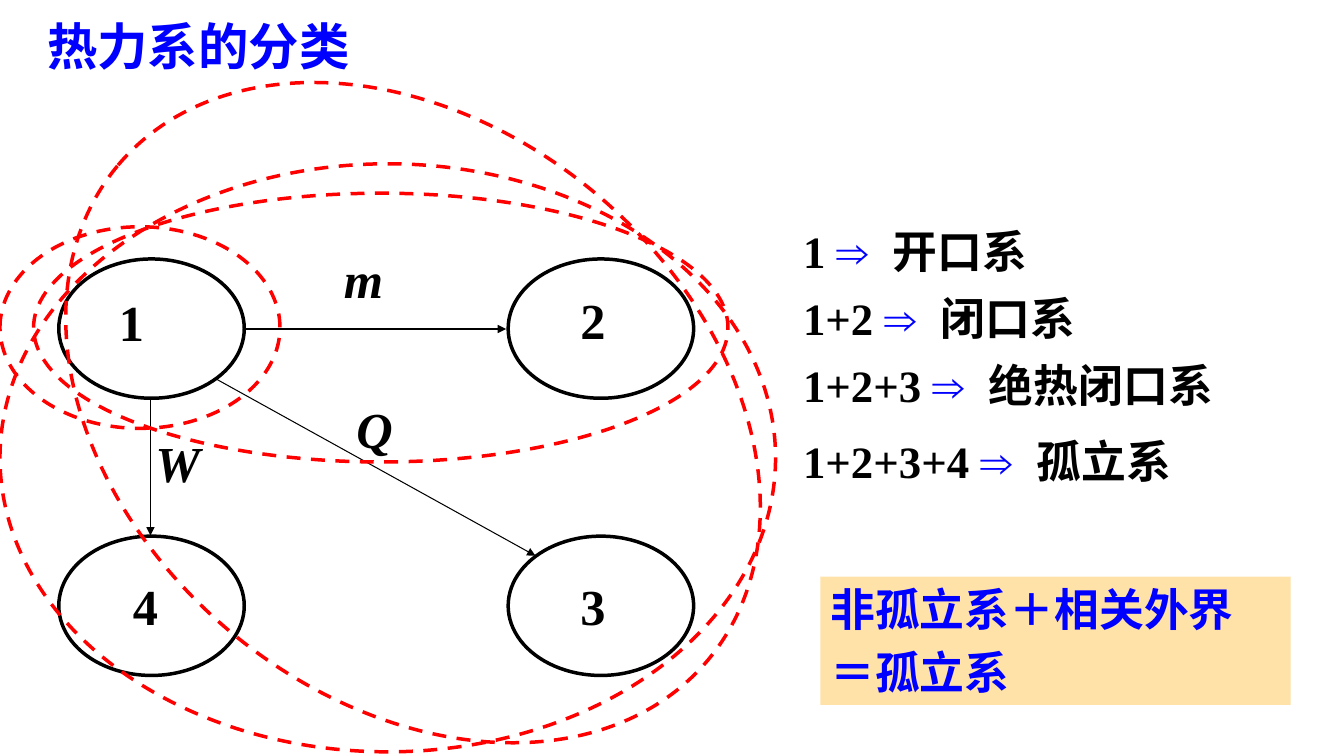
from lxml import etree
from pptx import Presentation
from pptx.dml.color import RGBColor
from pptx.enum.dml import MSO_LINE_DASH_STYLE as Dash
from pptx.enum.shapes import MSO_CONNECTOR as Conn, MSO_SHAPE as Kind
from pptx.enum.text import MSO_ANCHOR as Anchor, PP_ALIGN as Align
from pptx.oxml.ns import qn
from pptx.util import Pt

BLACK, WHITE, BLUE, RED, SAND = "000000", "FFFFFF", "0000FF", "FF0000", "FFCC66"
SERIF = "Times New Roman"

TITLE = "热力系的分类"
NOTE = ["非孤立系＋相关外界", "＝孤立系"]
COLS, ROWS = (42, 363), (185, 383)
NODE_W, NODE_H = 132.5, 99.5
# digit: column, row, left and top of its label
NODES = {
    "1": (0, 0, 77.8, 204.5),
    "2": (1, 0, 407.5, 203),
    "3": (1, 1, 407.5, 407),
    "4": (0, 1, 87.8, 407),
}
# from x, y, to x, y
ARROWS = [
    (175, 235, 361.5, 235),
    (107.5, 285, 107.5, 382.5),
    (154, 270.5, 382.5, 397),
]
# letter, left, top, width
FLOWS = [("m", 238.5, 173.5, 42.5), ("Q", 247.5, 281, 40.5), ("W", 104, 305, 47)]
# left, top, width, height, turn
BOUNDS = [
    (0, 162, 200, 144, 0),
    (24, 138, 496, 192, 0),
    (20, 91, 550, 407.5, 40),
    (0, 117, 554, 420, 0),
]
# system, its class, top
KINDS = [
    ("1", "开口系", 156),
    ("1+2", "闭口系", 204),
    ("1+2+3", "绝热闭口系", 252),
    ("1+2+3+4", "孤立系", 306),
]


def rgb(code):
    return RGBColor.from_string(code)


def add_shape(kind, box, fill=None, line=None):
    shape = slide.shapes.add_shape(kind, *map(Pt, box))
    shape.shadow.inherit = False
    if fill:
        shape.fill.solid()
        shape.fill.fore_color.rgb = rgb(fill)
    else:
        shape.fill.background()
    if line:
        shape.line.color.rgb = rgb(line)
        shape.line.width = Pt(2.5)
    else:
        shape.line.fill.background()
    return shape


def add_box(*box):
    return slide.shapes.add_textbox(*map(Pt, box))


def style(run, size, color, face=SERIF, italic=None):
    font = run.font
    font.size, font.name = Pt(size), face
    font.bold, font.italic = True, italic
    font.color.rgb = rgb(color)


def write(shape, lines, size, color, wrap=True, **look):
    frame = shape.text_frame
    frame.word_wrap = wrap
    frame.vertical_anchor = Anchor.TOP
    frame.text = "\n".join(lines)
    for par in frame.paragraphs:
        par.alignment = Align.LEFT
        style(par.runs[0], size, color, **look)
    return frame


def add_arrow(x1, y1, x2, y2):
    arrow = slide.shapes.add_connector(Conn.STRAIGHT, Pt(x1), Pt(y1), Pt(x2), Pt(y2))
    arrow.line.color.rgb = rgb(BLACK)
    arrow.line.width = Pt(0.75)
    etree.SubElement(arrow.line._get_or_add_ln(), qn("a:tailEnd"), type="triangle")
    etree.SubElement(arrow._element.spPr, qn("a:effectLst"))


deck = Presentation()
deck.slide_width, deck.slide_height = Pt(960), Pt(540)
slide = deck.slides.add_slide(deck.slide_layouts[6])

for col, row, _, _ in NODES.values():
    add_shape(Kind.OVAL, (COLS[col], ROWS[row], NODE_W, NODE_H), WHITE, BLACK)
for ends in ARROWS:
    add_arrow(*ends)
for digit, (_, _, x, y) in NODES.items():
    label = add_shape(Kind.RECTANGLE, (x, y, 32.4, 50.4), WHITE)
    write(label, [digit], 36, BLACK, wrap=False)
for letter, x, y, w in FLOWS:
    write(add_box(x, y, w, 50.4), [letter], 36, BLACK, wrap=False, italic=True)

title = write(add_box(26.6, 0, 336, 65), [TITLE], 36, BLUE, face="Arial")
title.vertical_anchor = Anchor.MIDDLE

note = add_shape(Kind.RECTANGLE, (586, 412, 336, 91.5), SAND)
tint = note._element.spPr.find(qn("a:solidFill"))[0]
etree.SubElement(tint, qn("a:alpha"), val="57000")
write(note, NOTE, 32, BLUE).paragraphs[1].space_before = Pt(6.4)

for *box, turn in BOUNDS:
    bound = add_shape(Kind.OVAL, box, line=RED)
    bound.line.dash_style = Dash.DASH
    bound.rotation = turn

for system, name, y in KINDS:
    frame = write(add_box(566.6, y, 390, 45.4), [system + " "], 32, BLACK)
    for text, color in (("⇒ ", BLUE), (name, BLACK)):
        run = frame.paragraphs[0].add_run()
        run.text = text
        style(run, 32, color)

deck.save("out.pptx")
